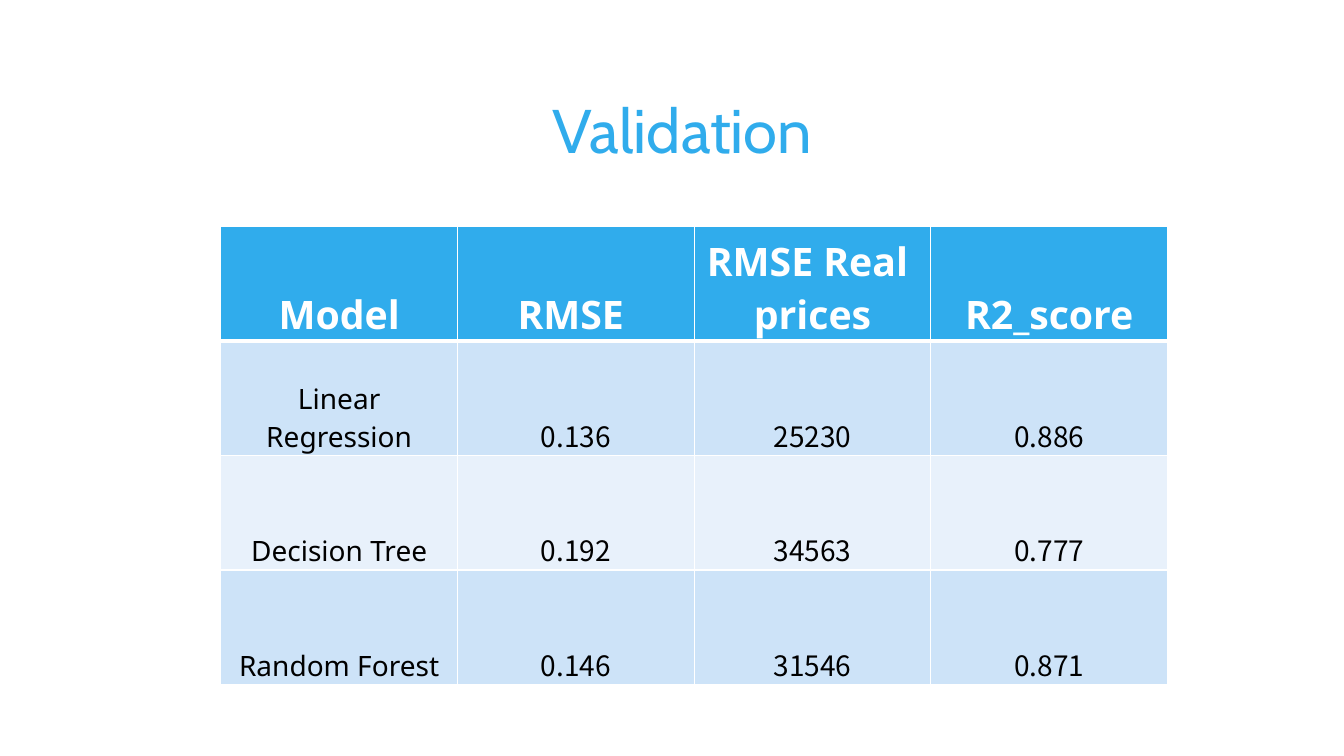
from lxml import etree
from pptx import Presentation
from pptx.dml.color import RGBColor
from pptx.enum.text import MSO_ANCHOR as Anchor, PP_ALIGN as Align
from pptx.oxml.ns import qn
from pptx.util import Inches, Pt

COLORS = {
    "accent": "30ACEC",
    "white": "FFFFFF",
    "black": "000000",
    "band_dark": "CDE3F8",
    "band_light": "E8F1FB",
}
TITLE_FONT = {"name": "Cabin", "size": Pt(44), "bold": False}
HEADER_FONT = {"name": "Noto Sans", "size": Pt(28), "bold": True}
MODEL_FONT = {"name": "Noto Sans", "size": Pt(20), "bold": False}
SCORE_FONT = {"name": "Noto Sans CJK TC", "size": Pt(20), "bold": False}
CELL_FORMAT = {
    "vertical_anchor": Anchor.BOTTOM,
    "margin_left": Inches(0.01),
    "margin_top": Inches(0.01),
    "margin_right": Inches(0.01),
    "margin_bottom": 0,
}
SCORES = [
    ["Model", "RMSE ", "RMSE Real  prices", "R2_score"],
    ["Linear Regression", "0.136", "25230", "0.886"],
    ["Decision Tree", "0.192", "34563", "0.777"],
    ["Random Forest", "0.146", "31546", "0.871"],
]


def apply(target, values):
    for attribute, value in values.items():
        setattr(target, attribute, value)


def write(frame, text, font, color):
    paragraph = frame.paragraphs[0]
    paragraph.alignment = Align.CENTER
    run = paragraph.add_run()
    run.text = text
    apply(run.font, font)
    run.font.color.rgb = RGBColor.from_string(COLORS[color])


def set_borders(cell, widths):
    """Draw white cell borders; the lines must precede the fill."""
    properties = cell._tc.get_or_add_tcPr()
    for position, (side, width) in enumerate(widths.items()):
        line = etree.Element(qn(f"a:ln{side}"), w=str(Pt(width)))
        fill = etree.SubElement(line, qn("a:solidFill"))
        etree.SubElement(fill, qn("a:srgbClr"), val=COLORS["white"])
        properties.insert(position, line)


def add_title(slide, text, left, top, width, height):
    title = slide.shapes.add_textbox(left, top, width, height).text_frame
    apply(title, {"word_wrap": True, "vertical_anchor": Anchor.MIDDLE})
    write(title, text, TITLE_FONT, "accent")


def add_score_table(slide, scores, left, top, width, height):
    row_count, column_count = len(scores), len(scores[0])
    table = slide.shapes.add_table(
        row_count, column_count, left, top, width, height
    ).table
    for row_index, row in enumerate(scores):
        is_header = row_index == 0
        if is_header:
            fill = "accent"
        else:
            fill = "band_dark" if row_index % 2 else "band_light"
        for column_index, text in enumerate(row):
            cell = table.cell(row_index, column_index)
            apply(cell, CELL_FORMAT)
            cell.fill.solid()
            cell.fill.fore_color.rgb = RGBColor.from_string(COLORS[fill])
            # The rule under the header is heavier than the grid
            set_borders(cell, {
                "L": 1,
                "R": 1,
                "T": 3 if row_index == 1 else 1,
                "B": 3 if is_header else 1,
            })
            if is_header:
                font = HEADER_FONT
            else:
                font = SCORE_FONT if column_index else MODEL_FONT
            write(cell.text_frame, text, font, "white" if is_header else "black")


def main():
    deck = Presentation()
    apply(deck, {"slide_width": Inches(13.33), "slide_height": Inches(7.5)})
    slide = deck.slides.add_slide(deck.slide_layouts[6])

    # Heading
    add_title(slide, "Validation",
              Inches(1.29), Inches(0.32), Inches(10.96), Inches(1.92))
    # Model scores
    add_score_table(slide, SCORES,
                    Inches(2.19), Inches(2.25), Inches(9.39), Inches(4.54))
    deck.save("out.pptx")


if __name__ == "__main__":
    main()
